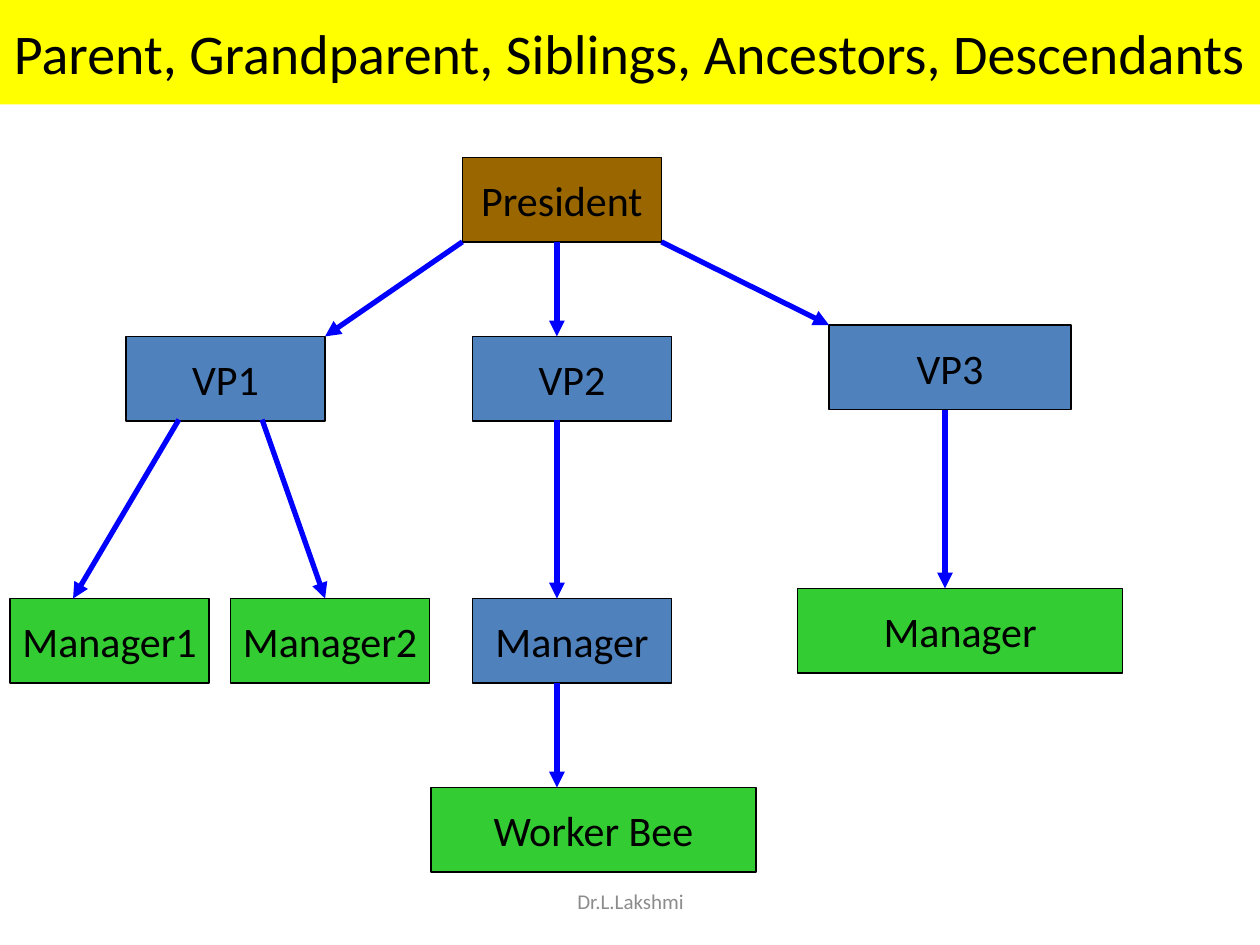
from lxml import etree
from pptx import Presentation
from pptx.dml.color import RGBColor
from pptx.enum.shapes import MSO_CONNECTOR, MSO_SHAPE
from pptx.enum.text import MSO_ANCHOR, PP_ALIGN
from pptx.oxml.ns import qn
from pptx.util import Inches, Pt

BLACK = RGBColor(0x00, 0x00, 0x00)
GRAY = RGBColor(0x8C, 0x8C, 0x8C)
YELLOW = RGBColor(0xFF, 0xFF, 0x00)
BROWN = RGBColor(0x99, 0x66, 0x00)
BLUE = RGBColor(0x4F, 0x81, 0xBD)
GREEN = RGBColor(0x33, 0xCC, 0x33)
ARROW_BLUE = RGBColor(0x00, 0x00, 0xFF)

NODE_W, NODE_H = 1.58, 0.67

NODES = [
    ("President", 3.67, 1.25, NODE_W, BROWN),
    ("VP1", 1, 2.67, NODE_W, BLUE),
    ("VP2", 3.75, 2.67, NODE_W, BLUE),
    ("VP3", 6.58, 2.58, 1.92, BLUE),
    ("Manager1", 0.08, 4.75, NODE_W, GREEN),
    ("Manager2", 1.83, 4.75, NODE_W, GREEN),
    ("Manager", 3.75, 4.75, NODE_W, BLUE),
    ("Manager", 6.33, 4.67, 2.58, GREEN),
    ("Worker Bee", 3.42, 6.25, 2.58, GREEN),
]

ARROWS = [
    (4.42, 1.92, 4.42, 2.67),
    (3.67, 1.92, 2.58, 2.67),
    (5.25, 1.92, 6.58, 2.58),
    (1.42, 3.33, 0.58, 4.75),
    (2.08, 3.33, 2.58, 4.75),
    (4.42, 3.33, 4.42, 4.75),
    (7.5, 3.25, 7.5, 4.67),
    (4.42, 5.42, 4.42, 6.25),
]


def write_text(sp, text, size=24, color=BLACK, wrap=False):
    tf = sp.text_frame
    tf.word_wrap = wrap
    tf.vertical_anchor = MSO_ANCHOR.MIDDLE
    p = tf.paragraphs[0]
    p.alignment = PP_ALIGN.CENTER
    r = p.add_run()
    r.text = text
    r.font.name = "Calibri"
    r.font.size = Pt(size)
    r.font.color.rgb = color


def add_box(s, x, y, w, h, fill, line=None):
    sp = s.shapes.add_shape(
        MSO_SHAPE.RECTANGLE, Inches(x), Inches(y), Inches(w), Inches(h))
    sp.shadow.inherit = False
    sp.fill.solid()
    sp.fill.fore_color.rgb = fill
    if line is None:
        sp.line.fill.background()
    else:
        sp.line.color.rgb = line
        sp.line.width = Pt(1)
    return sp


def add_arrow(s, x1, y1, x2, y2):
    arrow = s.shapes.add_connector(
        MSO_CONNECTOR.STRAIGHT, Inches(x1), Inches(y1), Inches(x2), Inches(y2))
    arrow.line.color.rgb = ARROW_BLUE
    arrow.line.width = Pt(3)
    etree.SubElement(arrow.line._get_or_add_ln(), qn("a:tailEnd"), type="triangle")
    etree.SubElement(arrow._element.spPr, qn("a:effectLst"))


def main():
    prs = Presentation()
    prs.slide_width, prs.slide_height = Inches(10), Inches(7.5)
    s = prs.slides.add_slide(prs.slide_layouts[6])

    title = add_box(s, 0, 0, 10, 0.83, YELLOW)
    write_text(title, "Parent, Grandparent, Siblings, Ancestors, Descendants", size=32)

    for text, x, y, w, fill in NODES:
        write_text(add_box(s, x, y, w, NODE_H, fill, line=BLACK), text)
    for ends in ARROWS:
        add_arrow(s, *ends)

    footer = s.shapes.add_textbox(
        Inches(3.42), Inches(6.95), Inches(3.17), Inches(0.4))
    write_text(footer, "Dr.L.Lakshmi", size=12, color=GRAY, wrap=True)

    prs.save("out.pptx")


if __name__ == "__main__":
    main()
